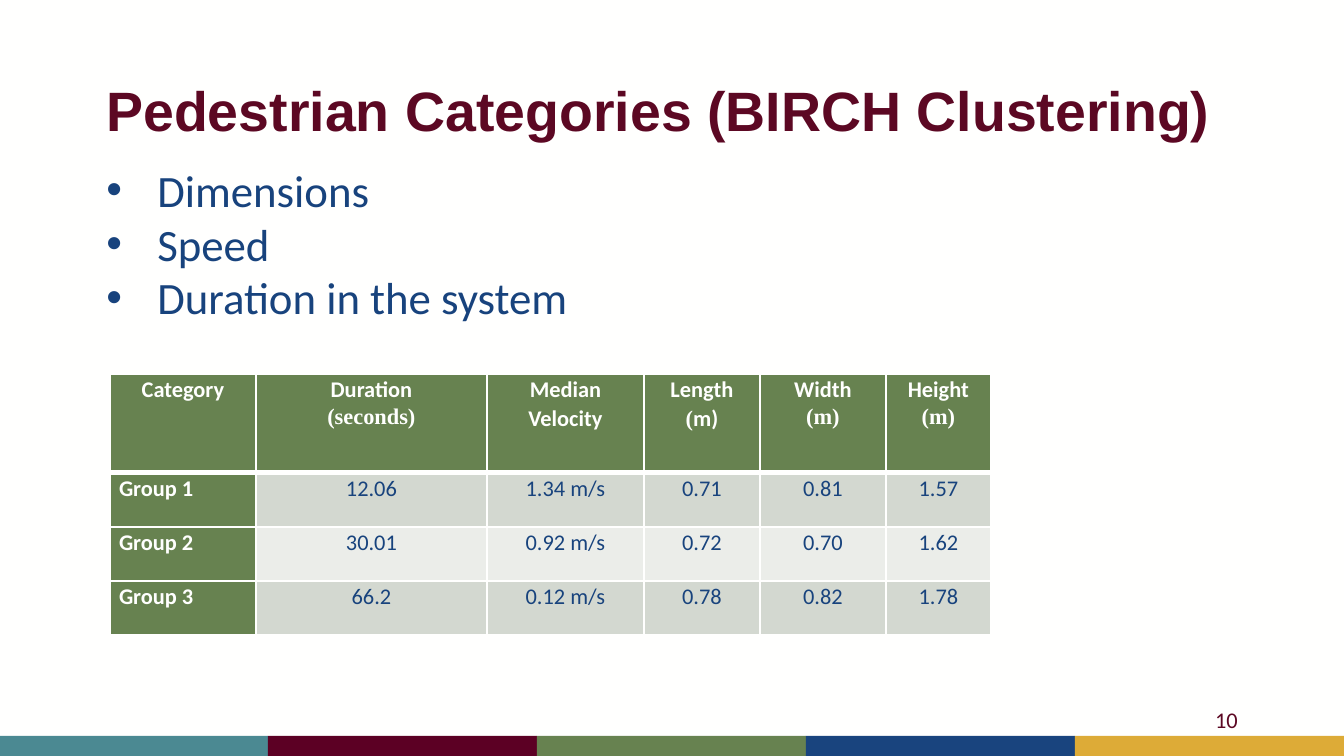
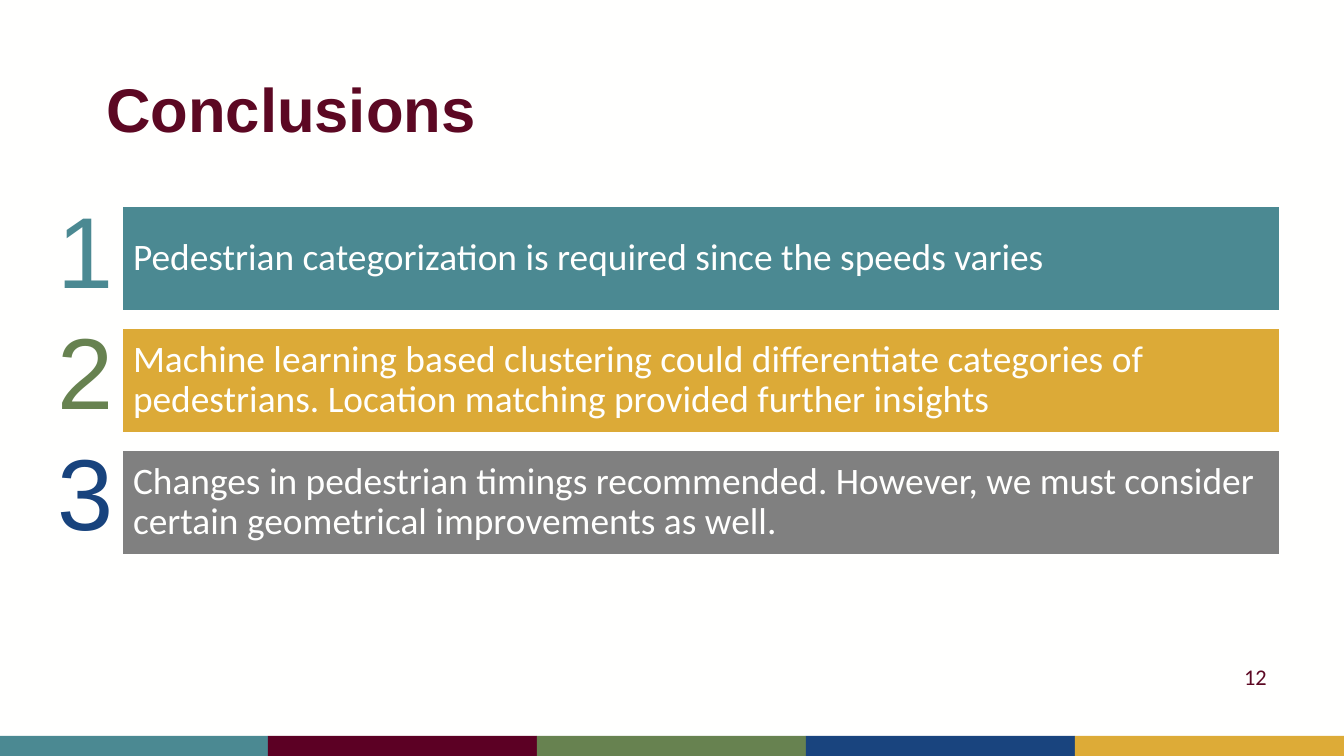
"""Builds two slides on pedestrian categories and conclusions."""
from dataclasses import dataclass

from lxml import etree
from pptx import Presentation
from pptx import util as u
from pptx.dml.color import RGBColor
from pptx.enum import shapes, text
from pptx.oxml.ns import qn

PX_EMU = 914400 / 134.4
WIDE, HIGH = 1344, 756
BAND_TOP = 736

WHITE, WINE, NAVY = "FFFFFE", "5C0823", "18437D"
TEAL, GREEN, GOLD, GREY = "4B8992", "678250", "DCAA37", "808080"
BANDS = (TEAL, "5C0024", GREEN, "19447E", "DDAB37")
ROW_FILLS = ("D3D8D0", "EBEDE9")

HEAD, SANS, SERIF = "Arial", "Calibri", "Times New Roman"
LEFT, MID, RIGHT = text.PP_ALIGN.LEFT, text.PP_ALIGN.CENTER, text.PP_ALIGN.RIGHT


@dataclass(frozen=True)
class Box:
    x: int
    y: int
    w: int
    h: int


@dataclass(frozen=True)
class Style:
    size: float
    color: str
    font: str = SANS
    bold: bool = False


@dataclass(frozen=True)
class Piece:
    words: str
    font: str = SANS


@dataclass(frozen=True)
class Column:
    width: int
    lines: tuple[tuple[Piece, ...], ...]
    values: tuple[str, ...]


@dataclass(frozen=True)
class Point:
    words: str
    fill: str
    digit: str


TITLE = Box(93, 40, 1158, 146)
LIST = Box(93, 156, 680, 176)
TABLE = Box(110, 374, 881, 261)
DIGITS = Box(44, 181, 108, 380)
BAR = Box(122, 206, 1158, 105)
BAR_STEP = 122
INDENT, CELL_PAD, BAR_PAD = 51, 9, 11
HEAD_ROW, BODY_ROW = 99, 54

LABEL = Style(12, WHITE, bold=True)
VALUE = Style(12, NAVY)
FACTORS = ("Dimensions", "Speed", "Duration in the system")
METERS = (Piece("(m)", SERIF),)
COLUMNS = (
    Column(146, ((Piece("Category"),),), ("Group 1", "Group 2", "Group 3")),
    Column(231, ((Piece("Duration"),), (Piece("(seconds)", SERIF),)),
           ("12.06", "30.01", "66.2")),
    Column(157, ((Piece("Median Velocity"),),),
           ("1.34 m/s", "0.92 m/s", "0.12 m/s")),
    Column(116, ((Piece("Length"),), (Piece("(", SERIF), Piece("m)"))),
           ("0.71", "0.72", "0.78")),
    Column(126, ((Piece("Width"),), METERS), ("0.81", "0.70", "0.82")),
    Column(105, ((Piece("Height"),), METERS), ("1.57", "1.62", "1.78")),
)
POINTS = (
    Point("Pedestrian categorization is required since the speeds varies", TEAL, TEAL),
    Point("Machine learning based clustering could differentiate categories of "
          "pedestrians. Location matching provided further insights", GOLD, GREEN),
    Point("Changes in pedestrian timings recommended. However, we must consider "
          "certain geometrical improvements as well.", GREY, NAVY),
)


def px(count: int) -> u.Emu:
    return u.Emu(round(count * PX_EMU))


def place(box: Box) -> tuple[u.Emu, ...]:
    return px(box.x), px(box.y), px(box.w), px(box.h)


def paint(fill, color: str) -> None:
    fill.solid()
    fill.fore_color.rgb = RGBColor.from_string(color)


def dress(run, style: Style) -> None:
    font = run.font
    font.size, font.name, font.bold = u.Pt(style.size), style.font, style.bold
    font.color.rgb = RGBColor.from_string(style.color)


def style_para(para, style: Style, align=LEFT, space: float = 1.0) -> None:
    para.alignment, para.line_spacing = align, space
    for run in para.runs:
        dress(run, style)


def add_text(slide, box: Box, words: str, style: Style, align=LEFT,
             space: float = 1.0, anchor=text.MSO_ANCHOR.MIDDLE):
    frame = slide.shapes.add_textbox(*place(box)).text_frame
    frame.word_wrap = True
    frame.vertical_anchor = anchor
    frame.text = words
    for para in frame.paragraphs:
        style_para(para, style, align, space)
    return frame


def add_rect(slide, box: Box, color: str):
    rect = slide.shapes.add_shape(shapes.MSO_SHAPE.RECTANGLE, *place(box))
    rect.shadow.inherit = False
    paint(rect.fill, color)
    rect.line.fill.background()
    return rect


def add_page(deck, title: str, size: float, number: str, spot: Box):
    slide = deck.slides.add_slide(deck.slide_layouts[6])
    paint(slide.background.fill, WHITE)
    edges = [WIDE * i // len(BANDS) for i in range(len(BANDS) + 1)]
    for left, right, color in zip(edges, edges[1:], BANDS):
        add_rect(slide, Box(left, BAND_TOP, right - left, HIGH - BAND_TOP), color)
    add_text(slide, TITLE, title, Style(size, WINE, HEAD, True), space=0.9)
    add_text(slide, spot, number, Style(12, WINE), RIGHT)
    return slide


def add_bullet(para) -> None:
    props = para._p.get_or_add_pPr()
    props.set("marL", str(px(INDENT)))
    props.set("indent", str(-px(INDENT)))
    etree.SubElement(props, qn("a:buFont"), typeface="Arial")
    etree.SubElement(props, qn("a:buChar"), char="•")


def add_edges(cell, row: int) -> None:
    props = cell._tc.get_or_add_tcPr()
    heavy = {(0, "lnB"), (1, "lnT")}
    for side in ("lnL", "lnR", "lnT", "lnB"):
        width = u.Pt(3 if (row, side) in heavy else 1)
        line = etree.SubElement(props, qn(f"a:{side}"), w=str(width))
        fill = etree.SubElement(line, qn("a:solidFill"))
        etree.SubElement(fill, qn("a:srgbClr"), val=WHITE)


def set_cell(cell, row: int, color: str) -> None:
    cell.margin_left = cell.margin_right = px(CELL_PAD)
    cell.margin_top = cell.margin_bottom = 0
    add_edges(cell, row)
    paint(cell.fill, color)


def fill_head(cell, column: Column) -> None:
    set_cell(cell, 0, GREEN)
    frame = cell.text_frame
    for i, pieces in enumerate(column.lines):
        para = frame.add_paragraph() if i else frame.paragraphs[0]
        for piece in pieces:
            para.add_run().text = piece.words
        style_para(para, LABEL, MID, 1.07)
        for run, piece in zip(para.runs, pieces):
            run.font.name = piece.font


def add_groups(slide) -> None:
    rows = len(COLUMNS[0].values) + 1
    table = slide.shapes.add_table(rows, len(COLUMNS), *place(TABLE)).table
    table.horz_banding = False
    for r, row in enumerate(table.rows):
        row.height = px(BODY_ROW if r else HEAD_ROW)
    for c, column in enumerate(COLUMNS):
        table.columns[c].width = px(column.width)
        fill_head(table.cell(0, c), column)
        for r, value in enumerate(column.values, 1):
            cell = table.cell(r, c)
            set_cell(cell, r, ROW_FILLS[(r - 1) % 2] if c else GREEN)
            cell.text_frame.text = value
            style, align = (VALUE, MID) if c else (LABEL, LEFT)
            style_para(cell.text_frame.paragraphs[0], style, align, 1.07)


def add_bar(slide, index: int, point: Point) -> None:
    box = Box(BAR.x, BAR.y + index * BAR_STEP, BAR.w, BAR.h)
    rect = add_rect(slide, box, point.fill)
    paint(rect.line.fill, WHITE)
    rect.line.width = u.Pt(1)
    frame = rect.text_frame
    frame.word_wrap = True
    frame.vertical_anchor = text.MSO_ANCHOR.MIDDLE
    frame.margin_left = frame.margin_right = px(BAR_PAD)
    frame.margin_top = frame.margin_bottom = px(BAR_PAD)
    frame.text = point.words
    style_para(frame.paragraphs[0], Style(20, WHITE), space=0.9)


def build_groups(deck) -> None:
    slide = add_page(deck, "Pedestrian Categories (BIRCH Clustering)", 29.7,
                     "10", Box(949, 700, 302, 40))
    add_groups(slide)
    frame = add_text(slide, LIST, "\n".join(FACTORS), Style(24, NAVY),
                     anchor=text.MSO_ANCHOR.TOP)
    for para in frame.paragraphs:
        add_bullet(para)


def build_close(deck) -> None:
    slide = add_page(deck, "Conclusions", 33, "12", Box(978, 657, 302, 40))
    for i, point in enumerate(POINTS):
        add_bar(slide, i, point)
    digits = "\n".join(str(i) for i in range(1, len(POINTS) + 1))
    frame = add_text(slide, DIGITS, digits, Style(54, NAVY, HEAD),
                     anchor=text.MSO_ANCHOR.TOP)
    for para, point in zip(frame.paragraphs, POINTS):
        style_para(para, Style(54, point.digit, HEAD))


def main() -> None:
    deck = Presentation()
    deck.slide_width, deck.slide_height = px(WIDE), px(HIGH)
    build_groups(deck)
    build_close(deck)
    deck.save("out.pptx")


if __name__ == "__main__":
    main()
